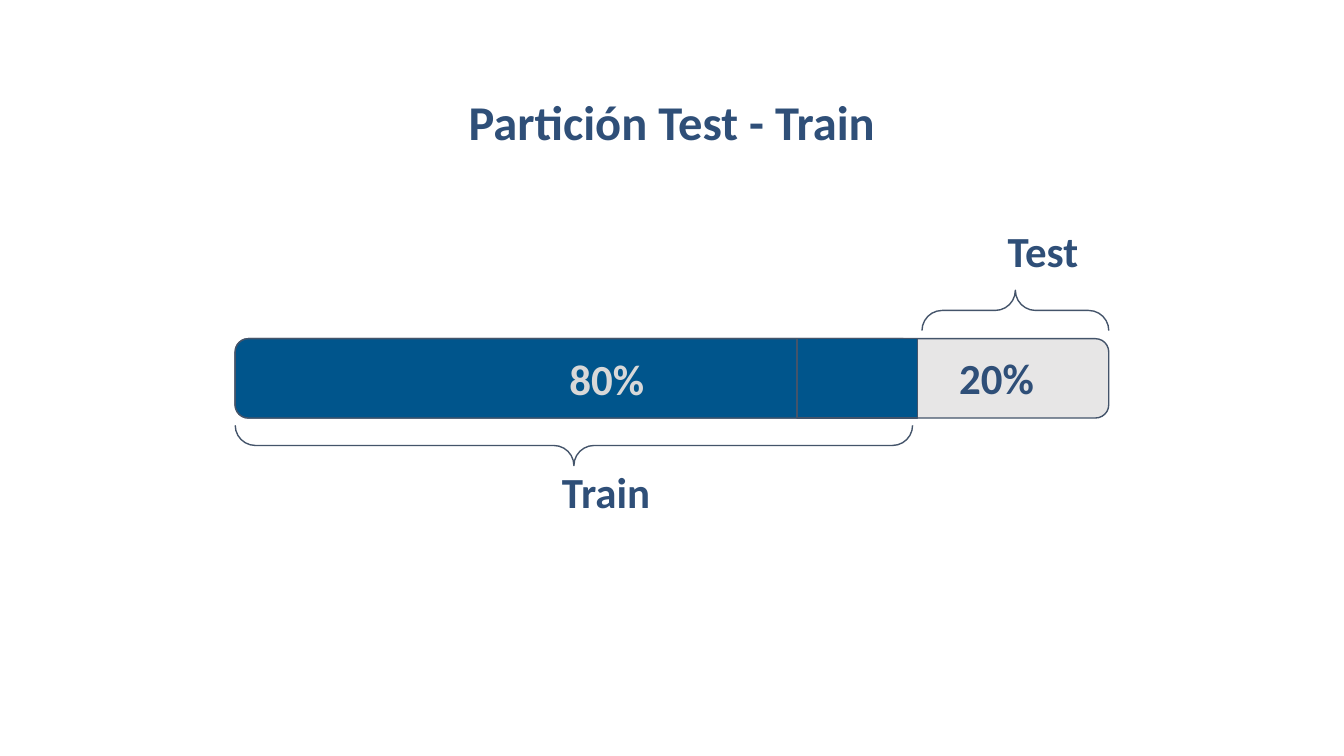
from pptx import Presentation
from pptx.dml.color import RGBColor
from pptx.enum.shapes import MSO_SHAPE
from pptx.enum.text import MSO_ANCHOR, MSO_AUTO_SIZE, PP_ALIGN
from pptx.util import Emu, Pt

PX = 4572  # 200 px to the inch
ROUNDED, SQUARE, BRACE = (MSO_SHAPE.ROUNDED_RECTANGLE, MSO_SHAPE.RECTANGLE,
                          MSO_SHAPE.RIGHT_BRACE)
TOP, MIDDLE, BOTTOM = MSO_ANCHOR.TOP, MSO_ANCHOR.MIDDLE, MSO_ANCHOR.BOTTOM
CENTER = PP_ALIGN.CENTER
NO_AUTOFIT = MSO_AUTO_SIZE.NONE
COMPARISON_LAYOUT = 4
TITLE, TRAIN, TEST = 0, 1, 3

COLORS = {
    "ink": "2F4F78",
    "outline": "44546A",
    "train": "00558C",
    "test": "E7E6E6",
    "pale": "D8D8D8",
}
BAR_LEFT, BAR_TOP, BAR_HEIGHT = 350, 504, 118


def px(*lengths):
    return [Emu(length * PX) for length in lengths]


def color(name):
    return RGBColor.from_string(COLORS[name])


def set_values(target, values):
    for name, value in values.items():
        setattr(target, name, value)


def place(box, bounds):
    set_values(box, dict(zip(("left", "top", "width", "height"), px(*bounds))))


def write(box, text, size=23, ink="ink", anchor=MIDDLE, inset=14, spacing=None):
    """Fill a box with one centred bold line; inset is the top and bottom margin."""
    side, end = px(14, inset)
    frame = box.text_frame
    set_values(frame, {
        "word_wrap": True, "auto_size": NO_AUTOFIT, "vertical_anchor": anchor,
        "margin_left": side, "margin_right": side,
        "margin_top": end, "margin_bottom": end,
    })
    para = frame.paragraphs[0]
    set_values(para, {"alignment": CENTER, **(spacing or {})})
    span = para.add_run()
    span.text = text
    set_values(span.font, {"name": "Calibri", "size": Pt(size), "bold": True})
    span.font.color.rgb = color(ink)


def fill_placeholder(page, index, bounds, text, before=8, **style):
    box = page.placeholders[index]
    place(box, bounds)
    write(box, text, inset=8,
          spacing={"line_spacing": 0.9, "space_before": Pt(before)}, **style)


def add_percentage(page, bounds, text, **style):
    write(page.shapes.add_textbox(*px(*bounds)), text, **style)


def add_outlined(page, kind, bounds, fill=None):
    shape = page.shapes.add_shape(kind, *px(*bounds))
    shape.shadow.inherit = False
    shape.line.color.rgb = color("outline")
    shape.line.width = Pt(0.75)
    if fill:
        shape.fill.solid()
        shape.fill.fore_color.rgb = color(fill)
    else:
        shape.fill.background()
    return shape


def add_bar(page, kind, left, width, fill):
    add_outlined(page, kind, (left, BAR_TOP, width, BAR_HEIGHT), fill)


def add_brace(page, bounds, rotation):
    """Add a right brace; bounds are those before the rotation."""
    brace = add_outlined(page, BRACE, bounds)
    brace.rotation = rotation
    brace.adjustments[0] = 0.5
    brace.adjustments[1] = 0.5


def remove_empty_placeholders(page):
    for box in list(page.placeholders):
        if not box.text_frame.text:
            box.element.getparent().remove(box.element)


def main():
    deck = Presentation()
    deck.slide_width, deck.slide_height = px(2000, 1125)
    page = deck.slides.add_slide(deck.slide_layouts[COMPARISON_LAYOUT])

    fill_placeholder(page, TITLE, (454, 147, 1092, 86), "Partición Test - Train",
                     before=0, size=26, anchor=BOTTOM)
    fill_placeholder(page, TRAIN, (788, 693, 228, 86), "Train")
    fill_placeholder(page, TEST, (1438, 334, 228, 86), "Test")
    remove_empty_placeholders(page)

    add_bar(page, ROUNDED, BAR_LEFT, 1300, "test")
    add_bar(page, ROUNDED, BAR_LEFT, 1014, "train")
    add_bar(page, SQUARE, 1186, 179, "train")
    add_brace(page, (824, 159, 60, 1008), 90)
    add_brace(page, (1481, 323, 60, 278), 270)
    add_percentage(page, (789, 530, 228, 66), "80%", ink="pale")
    add_percentage(page, (1386, 509, 194, 108), "20%", anchor=TOP)

    deck.save("out.pptx")


if __name__ == "__main__":
    main()
